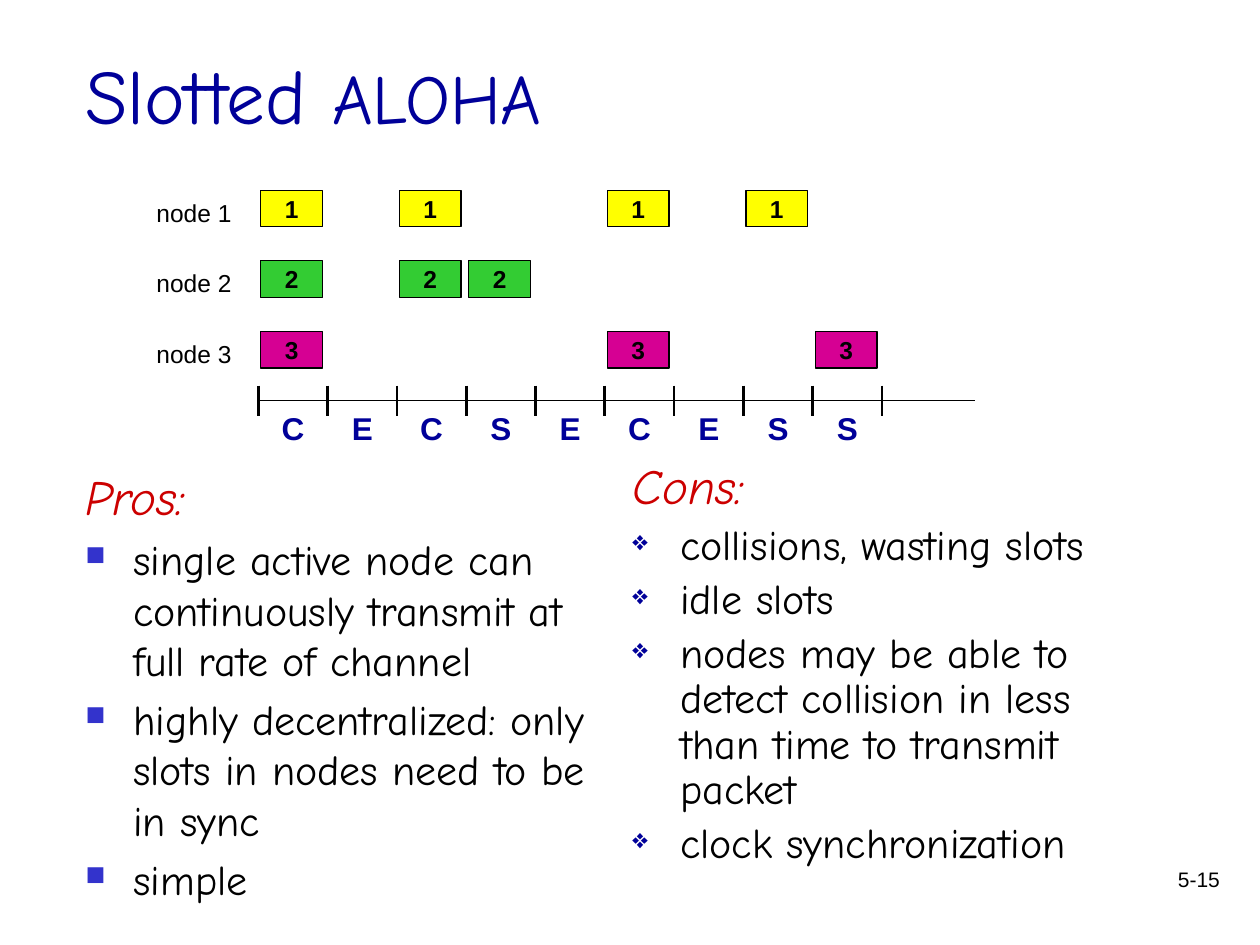
"""Build the Slotted ALOHA slide: a slot timeline above pros and cons."""
from lxml import etree
from pptx import Presentation
from pptx.dml.color import RGBColor
from pptx.enum.shapes import MSO_CONNECTOR, MSO_SHAPE
from pptx.enum.text import MSO_ANCHOR, PP_ALIGN
from pptx.oxml.ns import qn
from pptx.util import Inches, Pt

RECT, LINE = MSO_SHAPE.RECTANGLE, MSO_CONNECTOR.STRAIGHT
TOP, MIDDLE = MSO_ANCHOR.TOP, MSO_ANCHOR.MIDDLE
LEFT, CENTER, RIGHT = PP_ALIGN.LEFT, PP_ALIGN.CENTER, PP_ALIGN.RIGHT
BLACK = RGBColor(0x00, 0x00, 0x00)
NAVY = RGBColor(0x00, 0x00, 0x99)
RED = RGBColor(0xCC, 0x00, 0x00)
YELLOW = RGBColor(0xFF, 0xFF, 0x00)
GREEN = RGBColor(0x33, 0xCC, 0x33)
PINK = RGBColor(0xD6, 0x00, 0x93)
SANS, HAND = "Arial", "Comic Neue"

TITLE = (("Slotted ", 44), ("ALOHA", 40))
NODES = (
    ("1", YELLOW, (0, 2, 5, 7)),
    ("2", GREEN, (0, 2, 3)),
    ("3", PINK, (0, 5, 8)),
)
STATES = "CECSECESS"
LISTS = (
    ("Pros:", 0.58, 3.65, "■", "3333CC", 1.0, (
        "single active node can continuously transmit at full rate of channel",
        "highly decentralized: only slots in nodes need to be in sync",
        "simple",
    )),
    ("Cons:", 4.92, 3.62, "❖", "000099", 0.9, (
        "collisions, wasting slots",
        "idle slots",
        "nodes may be able to detect collision in less than time to transmit packet",
        "clock synchronization",
    )),
)
PAGE = "5-15"

AXIS_X, AXIS_Y, AXIS_END = 2.05, 3.18, 7.74
SLOT, ROW, ROW_TOP = 0.55, 0.56, 1.51
BOX_W, BOX_H, TICK = 0.49, 0.29, 0.12
INDENT = 0.38


def style(para, size, color, name=SANS, bold=False, italic=False, align=LEFT):
    para.alignment = align
    font = para.font
    font.name, font.size, font.bold, font.italic = name, Pt(size), bold, italic
    font.color.rgb = color


def add_text(slide, x, y, w, h, anchor=TOP):
    frame = slide.shapes.add_textbox(*map(Inches, (x, y, w, h))).text_frame
    frame.word_wrap = True
    frame.vertical_anchor = anchor
    return frame


def add_label(slide, text, x, y, w, h, size, color, **look):
    frame = add_text(slide, x, y, w, h)
    frame.text = text
    style(frame.paragraphs[0], size, color, **look)


def add_line(slide, x1, y1, x2, y2, width):
    line = slide.shapes.add_connector(LINE, *map(Inches, (x1, y1, x2, y2)))
    line.line.color.rgb = BLACK
    line.line.width = Pt(width)
    etree.SubElement(line._element.spPr, qn("a:effectLst"))


def add_box(slide, text, fill, x, y):
    box = slide.shapes.add_shape(RECT, *map(Inches, (x, y, BOX_W, BOX_H)))
    box.shadow.inherit = False
    box.fill.solid()
    box.fill.fore_color.rgb = fill
    box.line.color.rgb = BLACK
    box.line.width = Pt(0.75)
    frame = box.text_frame
    frame.margin_top = frame.margin_bottom = 0
    frame.vertical_anchor = MIDDLE
    frame.text = text
    style(frame.paragraphs[0], 14, BLACK, bold=True, align=CENTER)


def add_bullet(para, mark, color):
    props = para._p.get_or_add_pPr()
    props.set("marL", str(Inches(INDENT)))
    props.set("indent", str(-Inches(INDENT)))
    tint = etree.SubElement(props, qn("a:buClr"))
    etree.SubElement(tint, qn("a:srgbClr"), val=color)
    etree.SubElement(props, qn("a:buSzPct"), val="65000")
    etree.SubElement(props, qn("a:buChar"), char=mark)


def add_list(slide, head, x, y, mark, color, space, items):
    frame = add_text(slide, x, y, 4.17, 3.5)
    frame.text = head
    first = frame.paragraphs[0]
    first.line_spacing = space
    style(first, 28, RED, HAND, italic=True)
    for item in items:
        para = frame.add_paragraph()
        para.text = item
        add_bullet(para, mark, color)
        para.line_spacing = space
        para.space_before = Pt(5)
        style(para, 24, BLACK, HAND)


def add_title(slide):
    para = add_text(slide, 0.58, 0.12, 5.42, 1.25, MIDDLE).paragraphs[0]
    style(para, TITLE[0][1], NAVY, HAND)
    for text, size in TITLE:
        run = para.add_run()
        run.text = text
        run.font.size = Pt(size)


def add_chart_rows(slide):
    for row, (name, fill, slots) in enumerate(NODES):
        y = ROW_TOP + row * ROW
        add_label(slide, f"node {name}", 1.04, y + 0.01, 1, 0.33, 14, BLACK, align=CENTER)
        for slot in slots:
            add_box(slide, name, fill, AXIS_X + slot * SLOT + 0.02, y)


def add_axis(slide):
    add_line(slide, AXIS_X, AXIS_Y, AXIS_END, AXIS_Y, 0.75)
    for slot in range(len(STATES) + 1):
        x = AXIS_X + slot * SLOT
        add_line(slide, x, AXIS_Y - TICK, x, AXIS_Y + TICK, 1.5)
    for slot, state in enumerate(STATES):
        x = AXIS_X + slot * SLOT
        add_label(slide, state, x, 3.2, SLOT, 0.4, 18, NAVY, bold=True, align=CENTER)


def main():
    deck = Presentation()
    deck.slide_width, deck.slide_height = Inches(10), Inches(7.5)
    slide = deck.slides.add_slide(deck.slide_layouts[6])
    add_title(slide)
    add_chart_rows(slide)
    add_axis(slide)
    for column in LISTS:
        add_list(slide, *column)
    add_label(slide, PAGE, 7.7, 6.83, 2.08, 0.5, 12, BLACK, align=RIGHT)
    deck.save("out.pptx")


if __name__ == "__main__":
    main()
